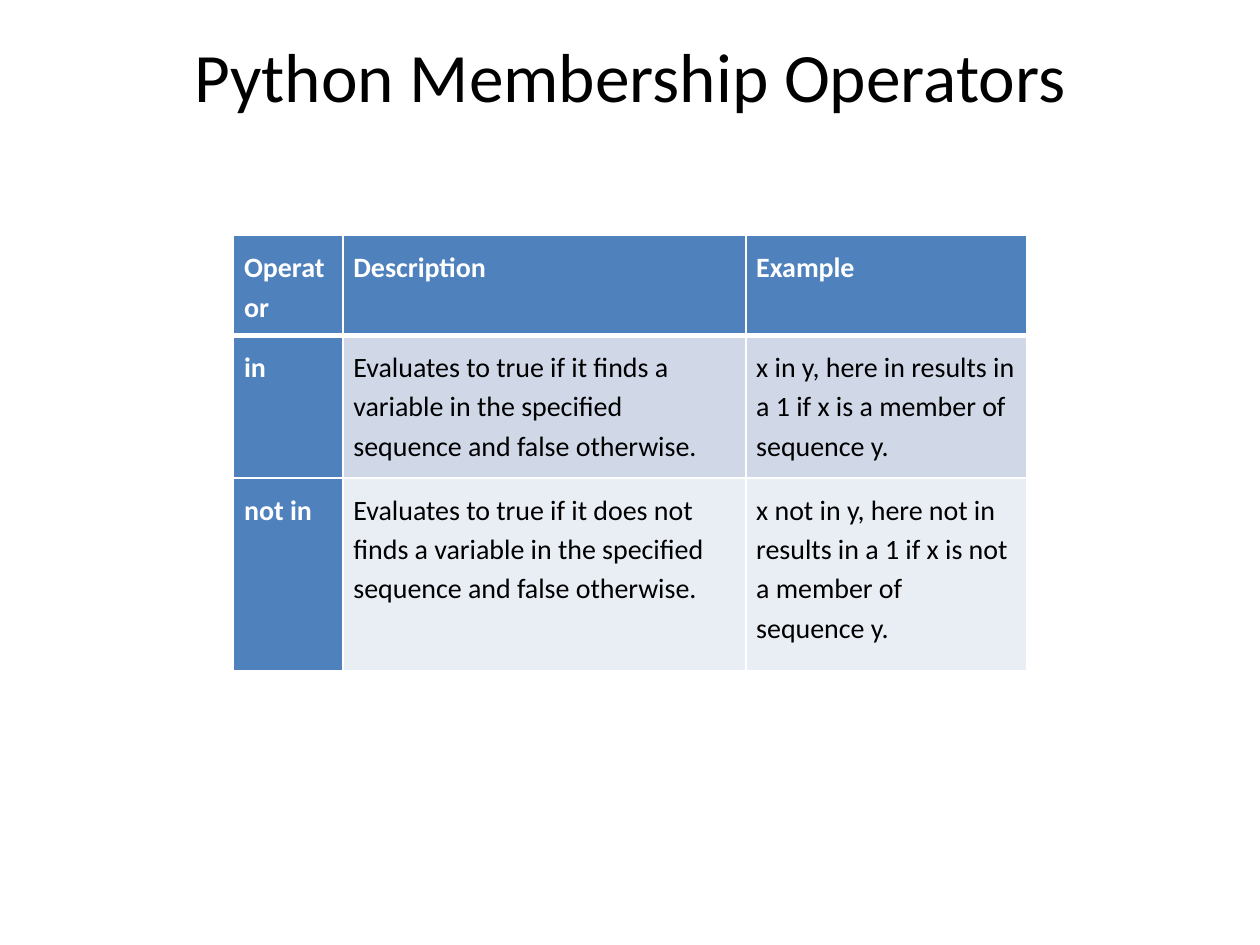
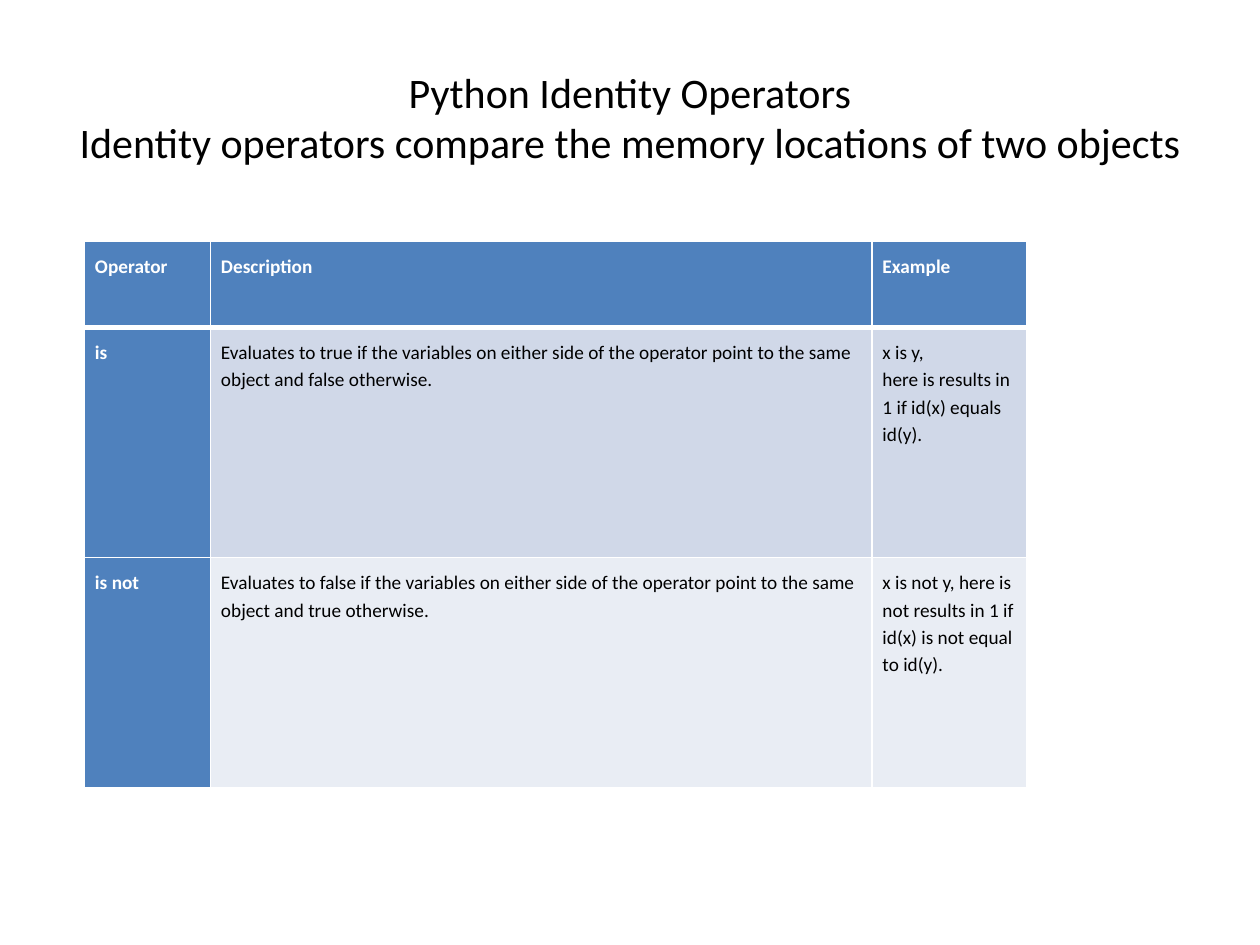
import dataclasses

import pptx
import pptx.dml.color
import pptx.enum.text
import pptx.oxml
import pptx.oxml.ns
import pptx.util

Pt = pptx.util.Pt
RGB = pptx.dml.color.RGBColor.from_string
ANCHOR = pptx.enum.text.MSO_ANCHOR


@dataclasses.dataclass(frozen=True)
class Theme:
    font: str = "Calibri"
    text: str = "000000"
    inverse: str = "FFFFFF"
    background: str = "FFFFFF"
    header: str = "4F81BD"
    bands: tuple = ("D0D8E8", "E9EDF4")
    rule: str = "FFFFFF"
    thin: float = 1
    thick: float = 3
    title: float = 39.6
    long_title: float = 24
    large_cell: float = 16
    small_cell: float = 11
    inset: float = 6


class Deck:
    def __init__(self, theme):
        self.theme = theme
        self.prs = pptx.Presentation()
        self.prs.slide_width, self.prs.slide_height = Pt(720), Pt(540)
        self.s = None

    def slide(self):
        self.s = self.prs.slides.add_slide(self.prs.slide_layouts[5])
        fill = self.s.background.fill
        fill.solid()
        fill.fore_color.rgb = RGB(self.theme.background)

    def style(self, p, size, color, bold=False):
        p.font.name = self.theme.font
        p.font.size = Pt(size)
        p.font.bold = bold
        p.font.color.rgb = RGB(color)

    def title(self, lines, size, top=21.6, anchor=ANCHOR.MIDDLE):
        sp = self.s.shapes.title
        sp.left, sp.top, sp.width, sp.height = Pt(36), Pt(top), Pt(648), Pt(90)
        tf = sp.text_frame
        tf.auto_size = pptx.enum.text.MSO_AUTO_SIZE.NONE
        tf.word_wrap = True
        tf.vertical_anchor = anchor
        tf.margin_top = tf.margin_bottom = 0
        p = tf.paragraphs[0]
        p.alignment = pptx.enum.text.PP_ALIGN.CENTER
        for i, line in enumerate(lines):
            if i:
                p.add_line_break()
            p.add_run().text = line
        self.style(p, size, self.theme.text)

    def borders(self, cell, bottom):
        tc_pr = cell._tc.get_or_add_tcPr()
        for side in "LRTB":
            width = bottom if side == "B" else self.theme.thin
            tc_pr.append(pptx.oxml.parse_xml(
                f'<a:ln{side} {pptx.oxml.ns.nsdecls("a")} w="{Pt(width)}">'
                f'<a:solidFill><a:srgbClr val="{self.theme.rule}"/></a:solidFill>'
                f'</a:ln{side}>'))

    def cell(self, cell, text, size, row, col):
        t = self.theme
        heading = row == 0 or col == 0
        self.borders(cell, t.thick if row == 0 else t.thin)
        cell.fill.solid()
        cell.fill.fore_color.rgb = RGB(
            t.header if heading else t.bands[(row - 1) % len(t.bands)])
        cell.margin_left = cell.margin_right = Pt(t.inset)
        cell.margin_top = cell.margin_bottom = Pt(t.inset)
        cell.vertical_anchor = ANCHOR.TOP
        cell.text = text
        p = cell.text_frame.paragraphs[0]
        p.line_spacing = 1.15
        p.space_after = Pt(10)
        self.style(p, size, t.inverse if heading else t.text, heading)

    def table(self, left, top, widths, heights, rows, size):
        table = self.s.shapes.add_table(
            len(heights), len(widths), Pt(left), Pt(top),
            Pt(sum(widths)), Pt(sum(heights))).table
        for column, width in zip(table.columns, widths):
            column.width = Pt(width)
        for row, height in zip(table.rows, heights):
            row.height = Pt(height)
        for i, texts in enumerate(rows):
            for j, text in enumerate(texts):
                self.cell(table.cell(i, j), text, size, i, j)


def keep_together(*words):
    """Join words with no-break spaces so that they stay on one line."""
    return chr(160).join(words)


HEADINGS = ("Operator", "Description", "Example")

MEMBERSHIP = (
    HEADINGS,
    ("in",
     "Evaluates to true if it finds a variable in the specified sequence "
     "and false otherwise.",
     "x in y, here in results in a 1 if x is a member of sequence y."),
    ("not in",
     "Evaluates to true if it does not finds a variable in the specified "
     "sequence and false otherwise.",
     "x not in y, here not in results in a 1 if x is not a member of "
     "sequence y."),
)

IDENTITY = (
    HEADINGS,
    ("is",
     "Evaluates to true if the variables on either side of the operator "
     "point to the same object and false otherwise.",
     f"x is y, {keep_together('here', 'is', 'results')} in 1 if id(x) "
     "equals id(y)."),
    ("is not",
     "Evaluates to false if the variables on either side of the operator "
     "point to the same object and true otherwise.",
     f"x is not y, {keep_together('here', 'is')} "
     f"{keep_together('not', 'results')} in 1 if id(x) is not equal to id(y)."),
)


def main():
    theme = Theme()
    deck = Deck(theme)

    deck.slide()
    deck.title(["Python Membership Operators"], theme.title, 18.8, ANCHOR.TOP)
    deck.table(133.5, 134.7, (62.5, 230.2, 160.5), (51.8, 81.4, 110),
               MEMBERSHIP, theme.large_cell)

    deck.slide()
    deck.title(["Python Identity Operators",
                "Identity operators compare the memory locations of two objects"],
               theme.long_title)
    deck.table(48.3, 138, (72, 378, 88.5), (49, 131.5, 131.5),
               IDENTITY, theme.small_cell)

    deck.prs.save("out.pptx")


if __name__ == "__main__":
    main()
